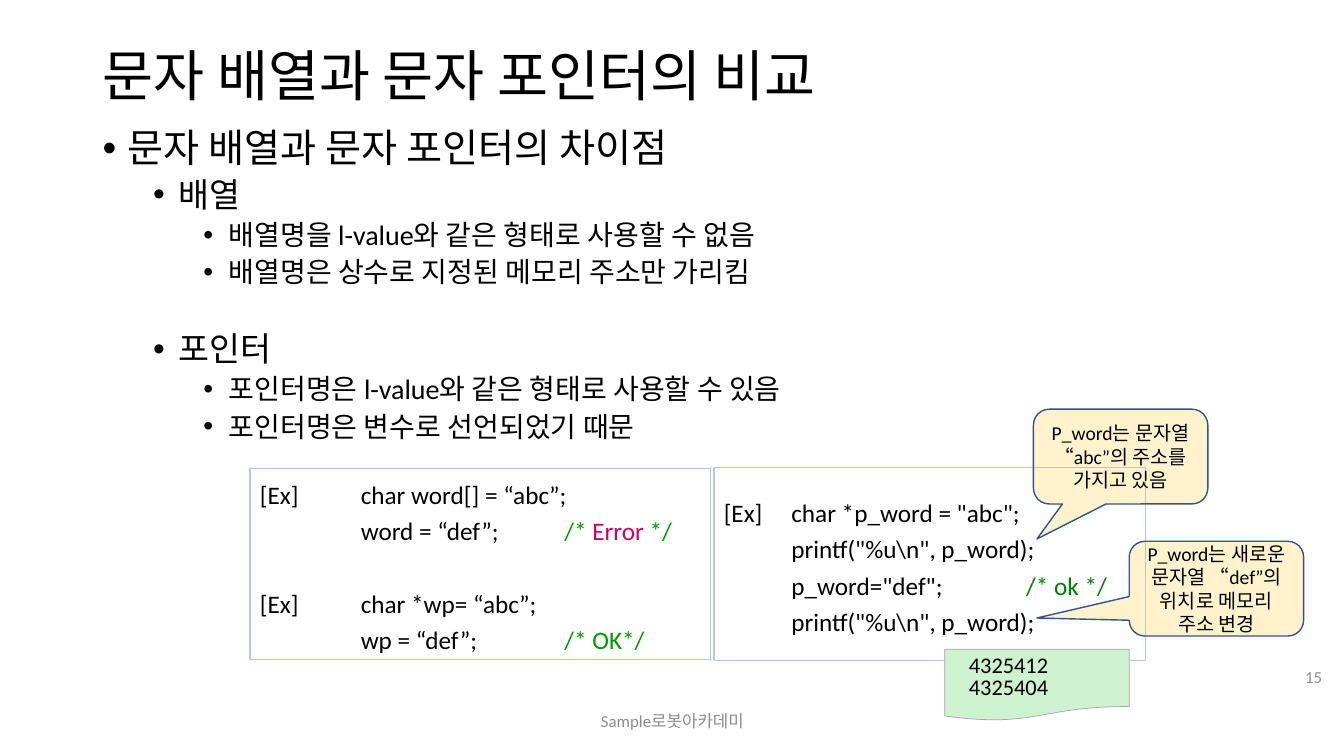
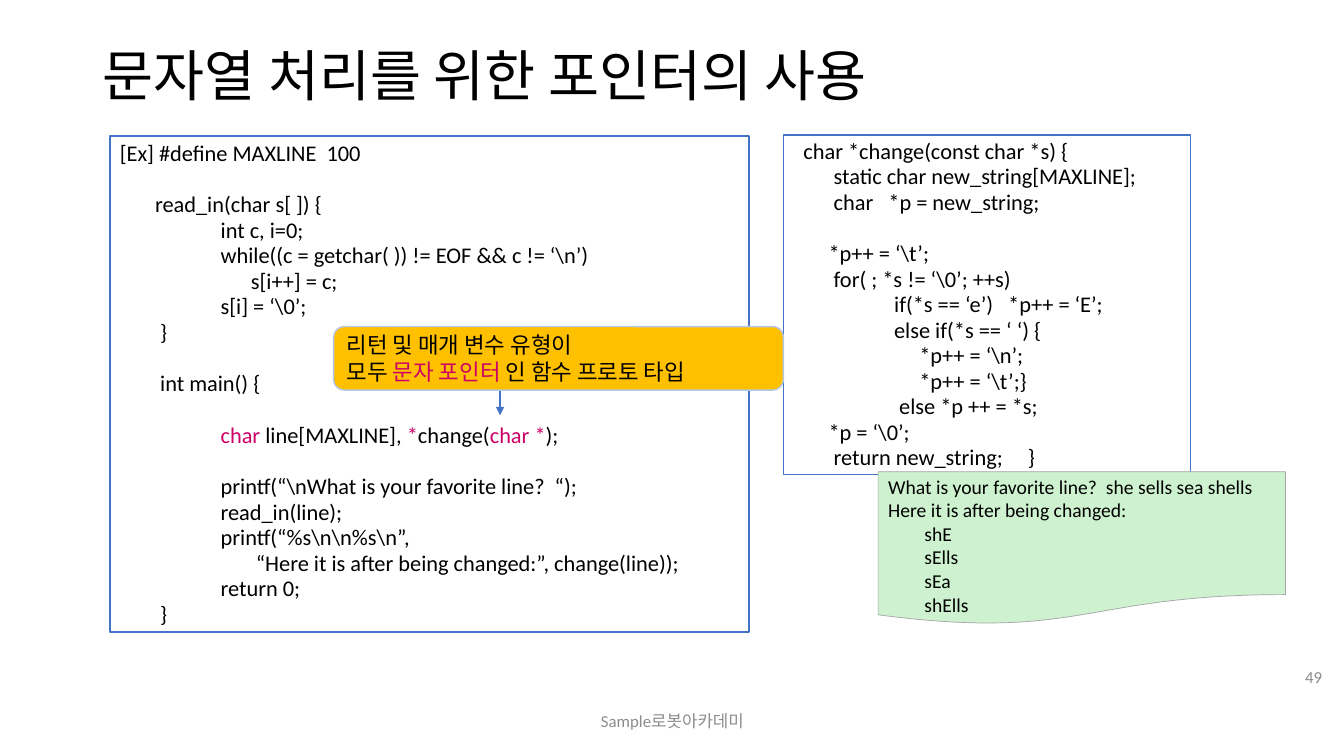
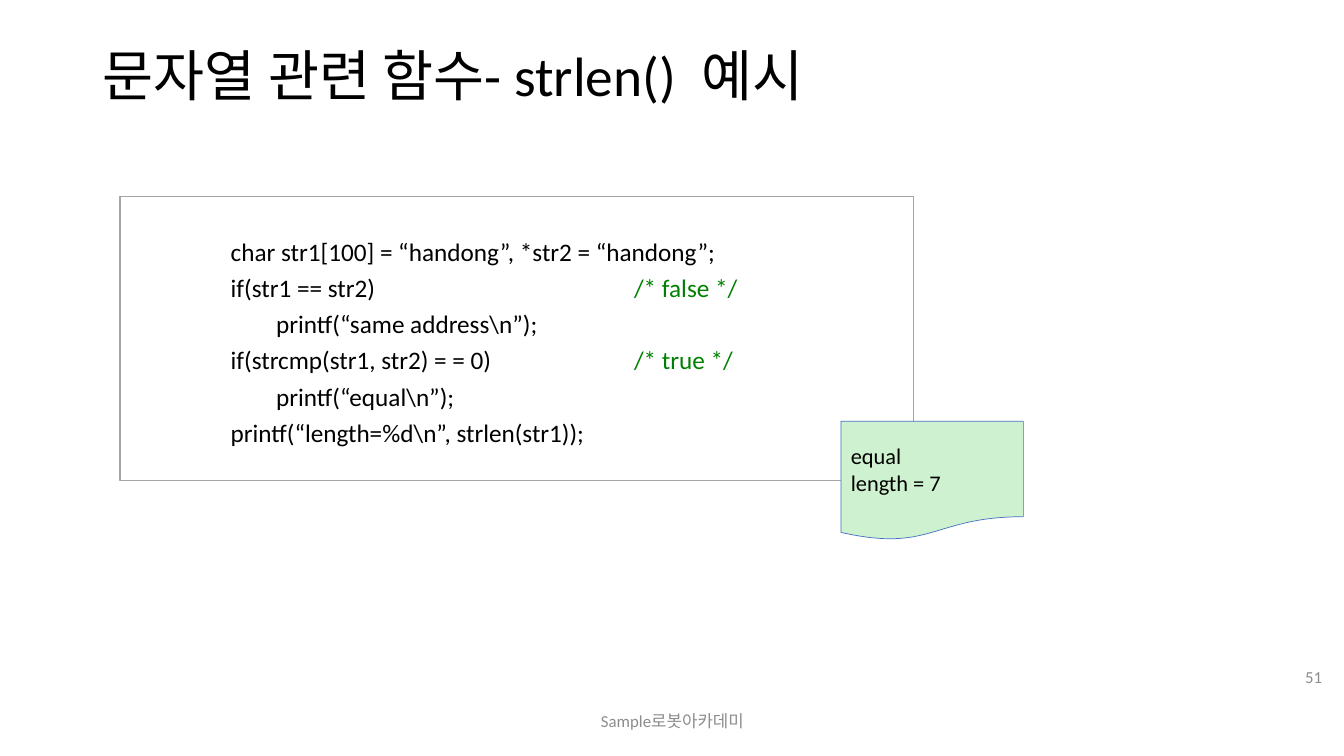
from lxml import etree
from pptx import Presentation
from pptx.dml.color import RGBColor
from pptx.enum.shapes import MSO_CONNECTOR, MSO_SHAPE
from pptx.enum.text import MSO_ANCHOR, MSO_AUTO_SIZE, PP_ALIGN
from pptx.oxml.ns import qn
from pptx.util import Inches, Pt

LEFT, CENTER, RIGHT = PP_ALIGN.LEFT, PP_ALIGN.CENTER, PP_ALIGN.RIGHT
TOP, MIDDLE = MSO_ANCHOR.TOP, MSO_ANCHOR.MIDDLE
RECT, ROUNDED = MSO_SHAPE.RECTANGLE, MSO_SHAPE.ROUNDED_RECTANGLE
CALLOUT = MSO_SHAPE.ROUNDED_RECTANGULAR_CALLOUT
DOCUMENT = MSO_SHAPE.FLOWCHART_DOCUMENT
STRAIGHT = MSO_CONNECTOR.STRAIGHT


class Theme:
    font = "Calibri"
    line_height = 1.22
    # Colours
    text, muted, white = "000000", "8C8C8C", "FFFFFF"
    blue, pale_blue, dark_blue, gray = "4472C4", "B4C7E7", "325491", "A5A5A5"
    amber, mint = "FFC000", "CEF2CF"
    pink, green, dark_green = "CC0066", "009900", "008000"
    # Type sizes
    title, footer, note = 39.6, 12, 14
    code, small_code = 18, 16
    levels = (28, 24, 20)


def write(frame, lines, size, spacing=1, align=LEFT, color=Theme.text, tabs=()):
    """Write lines of (text, colour) runs; an empty line becomes space before the next."""
    gap, first = 0, True
    for line in lines:
        if not line:
            gap += size * Theme.line_height * spacing
            continue
        paragraph = frame.paragraphs[0] if first else frame.add_paragraph()
        first = False
        paragraph.alignment = align
        paragraph.line_spacing = spacing
        if gap:
            paragraph.space_before = Pt(round(gap, 1))
            gap = 0
        if tabs:
            tab_list = etree.SubElement(paragraph._p.get_or_add_pPr(), qn("a:tabLst"))
            for stop in tabs:
                etree.SubElement(tab_list, qn("a:tab"), pos=str(Inches(stop)), algn="l")
        for text, run_color in [(line, color)] if isinstance(line, str) else line:
            run = paragraph.add_run()
            run.text = text
            run.font.name = Theme.font
            run.font.size = Pt(size)
            run.font.color.rgb = RGBColor.from_string(run_color)


def add_panel(slide, kind, box, fill, line, width=1, wrap=False):
    """Add an outlined shape ready for text."""
    panel = slide.shapes.add_shape(kind, *map(Inches, box))
    panel.shadow.inherit = False
    if fill:
        panel.fill.solid()
        panel.fill.fore_color.rgb = RGBColor.from_string(fill)
    else:
        panel.fill.background()
    panel.line.color.rgb = RGBColor.from_string(line)
    panel.line.width = Pt(width)
    panel.text_frame.word_wrap = wrap
    panel.text_frame.vertical_anchor = MIDDLE
    return panel


prs = Presentation()
prs.slide_width, prs.slide_height = Inches(13.33), Inches(7.5)
title_only = prs.slide_layouts[5]

# Titles, footers and page numbers
slides = []
for heading, page in (
    ("문자 배열과 문자 포인터의 비교", "15"),
    ("문자열 처리를 위한 포인터의 사용", "49"),
    ("문자열 관련 함수- strlen()  예시", "51"),
):
    slide = prs.slides.add_slide(title_only)
    slides.append(slide)
    title = slide.shapes.title
    title.left, title.top = Inches(0.92), Inches(0.4)
    title.width, title.height = Inches(11.5), Inches(0.75)
    title.text_frame.auto_size = MSO_AUTO_SIZE.NONE
    title.text_frame.vertical_anchor = MIDDLE
    write(title.text_frame, [heading], Theme.title, 0.9)
    for text, box, align in (
        ("Sample로봇아카데미", (4.42, 6.95, 4.5, 0.4), CENTER),
        (page, (12.59, 6.51, 0.62, 0.4), RIGHT),
    ):
        footer = slide.shapes.add_textbox(*map(Inches, box)).text_frame
        footer.word_wrap = True
        footer.vertical_anchor = MIDDLE
        write(footer, [text], Theme.footer, align=align, color=Theme.muted)
comparison, pointer_use, strlen_example = slides

# Comparison: bullet outline of (level, text, space before)
outline = comparison.shapes.add_textbox(
    Inches(0.92), Inches(1.23), Inches(11.5), Inches(5.53)).text_frame
outline.word_wrap = True
for number, (level, text, before) in enumerate((
    (0, "문자 배열과 문자 포인터의 차이점", 0),
    (1, "배열", 5),
    (2, "배열명을 l-value와 같은 형태로 사용할 수 없음", 5),
    (2, "배열명은 상수로 지정된 메모리 주소만 가리킴", 5),
    (1, "포인터", 31),
    (2, "포인터명은 l-value와 같은 형태로 사용할 수 있음", 5),
    (2, "포인터명은 변수로 선언되었기 때문", 5),
)):
    item = outline.add_paragraph() if number else outline.paragraphs[0]
    item.level = level
    item.line_spacing = 0.9
    if before:
        item.space_before = Pt(before)
    properties = item._p.get_or_add_pPr()
    properties.set("marL", str(Inches(0.25 + 0.5 * level)))
    properties.set("indent", str(Inches(-0.25)))
    etree.SubElement(properties, qn("a:buFont"), typeface="Arial")
    etree.SubElement(properties, qn("a:buChar"), char="•")
    run = item.add_run()
    run.text = text
    run.font.name = Theme.font
    run.font.size = Pt(Theme.levels[level])
    run.font.color.rgb = RGBColor.from_string(Theme.text)

# Comparison: code examples
array_code = add_panel(comparison, RECT, (2.48, 4.65, 4.57, 1.89), None, Theme.pale_blue)
write(array_code.text_frame, [
    "[Ex]\tchar word[] = “abc”;",
    [("\tword = “def”;\t", Theme.text), ("/* ", Theme.green),
     ("Error", Theme.pink), (" */", Theme.green)],
    "",
    "[Ex]\tchar *wp= “abc”;",
    [("\twp = “def”;\t", Theme.text), ("/* OK*/", Theme.green)],
], Theme.code, 1.2, tabs=(1, 3.02))

pointer_code = add_panel(comparison, RECT, (7.08, 4.64, 4.28, 1.91), None, Theme.pale_blue)
write(pointer_code.text_frame, [
    "[Ex]\tchar *p_word = \"abc\";",
    "\tprintf(\"%u\\n\", p_word);",
    [("\tp_word=\"def\";\t", Theme.text), ("/* ok */", Theme.dark_green)],
    "\tprintf(\"%u\\n\", p_word);",
], Theme.code, 1.2, tabs=(0.67, 3))

# Comparison: translucent callouts
for text, left, top, tip in (
    ("P_word는 문자열 “abc”의 주소를 가지고 있음", 10.25, 4.06, (-0.48, 0.87)),
    ("P_word는 새로운 문자열 “def”의 위치로 메모리 주소 변경", 11.2, 5.37, (-1.03, 0.31)),
):
    callout = add_panel(comparison, CALLOUT, (left, top, 1.73, 0.94),
                        Theme.amber, Theme.dark_blue, wrap=True)
    callout.adjustments[0], callout.adjustments[1] = tip
    fill_color = callout._element.spPr.find(qn("a:solidFill"))[0]
    etree.SubElement(fill_color, qn("a:alpha"), val="20000")
    write(callout.text_frame, [text], Theme.note, align=CENTER)

# Comparison: printed addresses
addresses = add_panel(comparison, DOCUMENT, (9.37, 6.44, 1.83, 0.71),
                      Theme.mint, Theme.gray, 0.5)
addresses.text_frame.margin_left = Inches(0.24)
write(addresses.text_frame, ["4325412", "4325404"], Theme.small_code, 0.8)

# Pointer use: main program
main_code = add_panel(pointer_use, RECT, (1.09, 1.35, 6.34, 4.92), Theme.white, Theme.blue)
write(main_code.text_frame, [
    "[Ex] #define MAXLINE  100",
    "",
    "       read_in(char s[ ]) {",
    "\tint c, i=0;",
    "\twhile((c = getchar( )) != EOF && c != ‘\\n’)",
    "\t      s[i++] = c;",
    "\ts[i] = ‘\\0’;",
    "        }",
    "",
    "        int main() {",
    "",
    [("\t", Theme.text), ("char", Theme.pink), (" line[MAXLINE], ", Theme.text),
     ("*", Theme.pink), ("change(", Theme.text), ("char *", Theme.pink),
     (");", Theme.text)],
    "",
    "\tprintf(“\\nWhat is your favorite line?  “);",
    "\tread_in(line);",
    "\tprintf(“%s\\n\\n%s\\n”,",
    "\t       “Here it is after being changed:”, change(line));",
    "\treturn 0;",
    "        }",
], Theme.small_code, 0.95, tabs=(1,))

# Pointer use: arrow from the prototype note to the code
arrow = pointer_use.shapes.add_connector(
    STRAIGHT, Inches(4.96), Inches(3.87), Inches(4.96), Inches(4.12))
arrow.line.color.rgb = RGBColor.from_string(Theme.blue)
arrow.line.width = Pt(1)
etree.SubElement(arrow.line._get_or_add_ln(), qn("a:tailEnd"), type="triangle")
etree.SubElement(arrow._element.spPr, qn("a:effectLst"))

# Pointer use: change function
change_code = add_panel(pointer_use, RECT, (7.77, 1.34, 4.04, 3.37), Theme.white, Theme.blue)
write(change_code.text_frame, [
    "  char *change(const char *s) {",
    "        static char new_string[MAXLINE];",
    "        char   *p = new_string;",
    "",
    "       *p++ = ‘\\t’;",
    "        for( ; *s != ‘\\0’; ++s)",
    "\tif(*s == ‘e’)   *p++ = ‘E’;",
    "\telse if(*s == ‘ ‘) {",
    "\t     *p++ = ‘\\n’;",
    "\t     *p++ = ‘\\t’;}",
    "\t else *p ++ = *s;",
    "       *p = ‘\\0’;",
    "        return new_string;     }",
], Theme.small_code, 0.95, tabs=(1,))

# Pointer use: prototype note
prototype_note = add_panel(pointer_use, ROUNDED, (3.31, 3.24, 4.46, 0.63),
                           Theme.amber, Theme.pale_blue)
write(prototype_note.text_frame, [
    "리턴 및 매개 변수 유형이",
    [("모두 ", Theme.text), ("문자 포인터 ", Theme.pink),
     ("인 함수 프로토 타입", Theme.text)],
], Theme.small_code)

# Pointer use: program output
changed_output = add_panel(pointer_use, DOCUMENT, (8.71, 4.68, 4.04, 1.52),
                           Theme.mint, Theme.gray, 0.5)
changed_output.text_frame.vertical_anchor = TOP
changed_output.text_frame.margin_top = Inches(0.03)
write(changed_output.text_frame, [
    "What is your favorite line?  she sells sea shells",
    "Here it is after being changed:",
    "shE", "sElls", "sEa", "shElls",
], Theme.note)
for word in changed_output.text_frame.paragraphs[2:]:
    word._p.get_or_add_pPr().set("marL", str(Inches(0.36)))

# strlen example: code and output
compare_code = add_panel(strlen_example, RECT, (1.19, 1.95, 7.87, 2.82),
                         Theme.white, Theme.gray)
write(compare_code.text_frame, [
    "\tchar str1[100] = “handong”, *str2 = “handong”;",
    [("\tif(str1 == str2)\t", Theme.text), ("/* false */", Theme.dark_green)],
    "\t        printf(“same address\\n”);",
    [("\tif(strcmp(str1, str2) = = 0)\t", Theme.text), ("/* true */", Theme.dark_green)],
    "\t        printf(“equal\\n”);",
    "\tprintf(“length=%d\\n”, strlen(str1));",
], Theme.code, 1.2, tabs=(1, 5))

length_output = add_panel(strlen_example, DOCUMENT, (8.34, 4.18, 1.81, 1.18),
                          Theme.mint, Theme.blue, 0.5)
write(length_output.text_frame, ["equal", "length = 7"], Theme.small_code)

prs.save("out.pptx")
